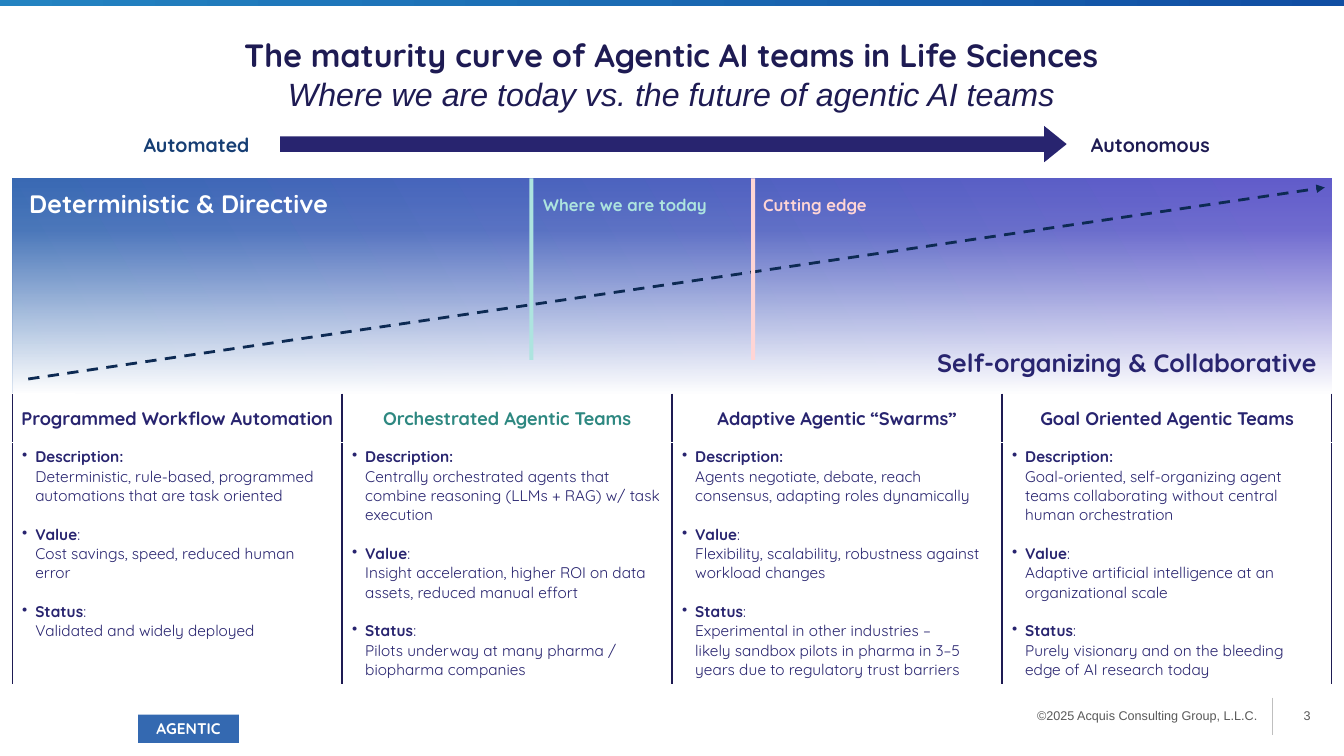
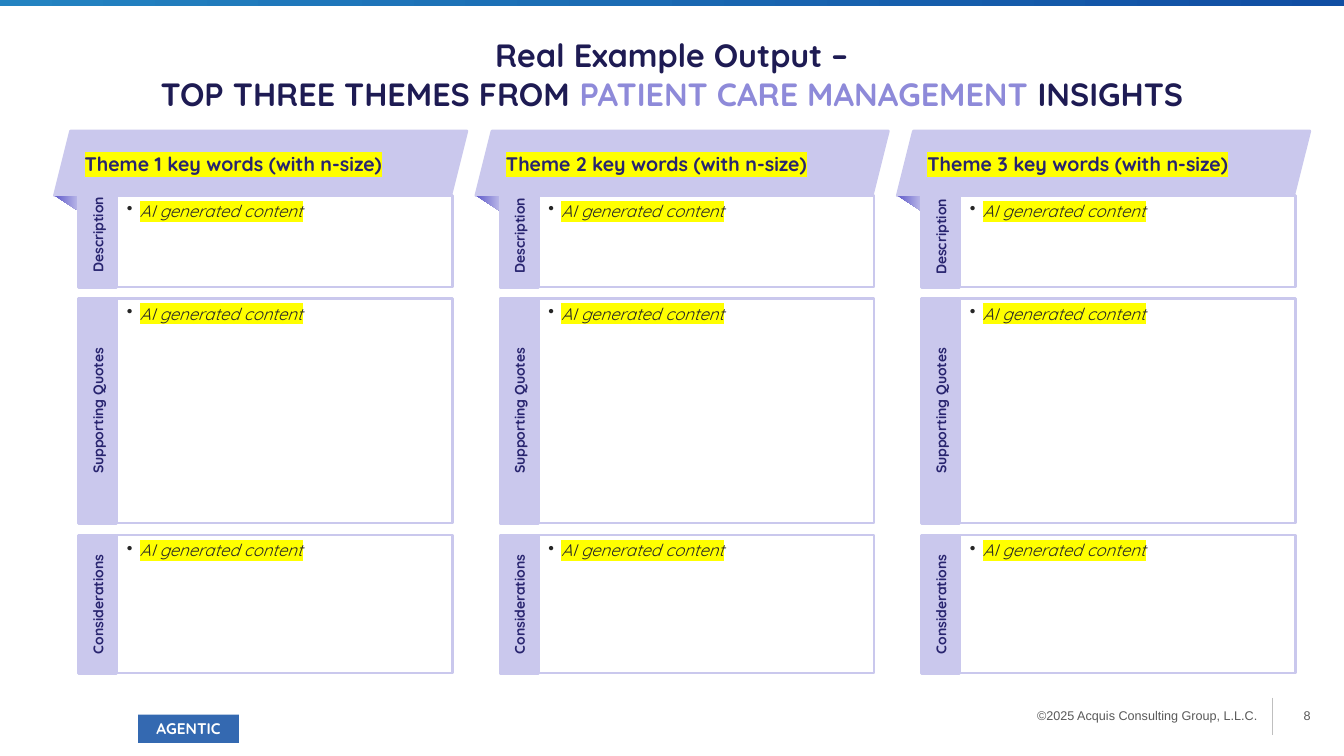
from copy import deepcopy

from lxml.etree import SubElement
from pptx import Presentation
from pptx.dml.color import RGBColor
from pptx.enum.dml import MSO_LINE
from pptx.enum.shapes import MSO_CONNECTOR, MSO_SHAPE
from pptx.enum.text import MSO_ANCHOR, MSO_AUTO_SIZE, PP_ALIGN
from pptx.oxml import parse_xml
from pptx.oxml.ns import nsdecls, qn
from pptx.util import Inches, Pt

WHITE = RGBColor(0xFF, 0xFF, 0xFF)
NAVY = RGBColor(0x1E, 0x1B, 0x53)
INDIGO = RGBColor(0x28, 0x24, 0x6F)
VIOLET = RGBColor(0x60, 0x5B, 0xCA)
LILAC = RGBColor(0x8E, 0x8A, 0xD9)
LAVENDER = RGBColor(0xCA, 0xC8, 0xED)
BLUE = RGBColor(0x34, 0x69, 0xB1)
DARK_BLUE = RGBColor(0x16, 0x3E, 0x74)
CURVE_BLUE = RGBColor(0x0D, 0x2A, 0x53)
BAND_START = RGBColor(0x23, 0x83, 0xC1)
BAND_END = RGBColor(0x10, 0x4E, 0xA3)
TEAL = RGBColor(0x2E, 0x88, 0x81)
MINT = RGBColor(0xAD, 0xE4, 0xDF)
PINK = RGBColor(0xFF, 0xD5, 0xD5)
GRAY = RGBColor(0x59, 0x59, 0x59)
RULE_GRAY = RGBColor(0xBF, 0xBF, 0xBF)
CHARCOAL = RGBColor(0x26, 0x26, 0x26)
YELLOW = RGBColor(0xFF, 0xFF, 0x00)

STAGES = [
    ("Programmed Workflow Automation", INDIGO,
     "Deterministic, rule-based, programmed automations that are task oriented",
     "Cost savings, speed, reduced human error",
     "Validated and widely deployed"),
    ("Orchestrated Agentic Teams", TEAL,
     "Centrally orchestrated agents that combine reasoning (LLMs + RAG) w/ task execution",
     "Insight acceleration, higher ROI on data assets, reduced manual effort",
     "Pilots underway at many pharma / biopharma companies"),
    ("Adaptive Agentic “Swarms”", INDIGO,
     "Agents negotiate, debate, reach consensus, adapting roles dynamically",
     "Flexibility, scalability, robustness against workload changes",
     "Experimental in other industries –\n"
     "likely sandbox pilots in pharma in 3–5 years due to regulatory trust barriers"),
    ("Goal Oriented Agentic Teams", INDIGO,
     "Goal-oriented, self-organizing agent teams collaborating without central human orchestration",
     "Adaptive artificial intelligence at an organizational scale",
     "Purely visionary and on the bleeding edge of AI research today"),
]
HEADINGS = [("Description:", ""), ("Value", ":"), ("Status", ":")]
PANELS = [("Description", 1.94, 0.91), ("Supporting Quotes", 2.96, 2.23), ("Considerations", 5.31, 1.37)]


def write(para, text, size=11, color=INDIGO, bold=False, italic=False, font="Quicksand", highlight=None):
    """Add text to a paragraph in one format, with a line break at each newline."""
    for number, line in enumerate(text.split("\n")):
        if number:
            para.add_line_break()
        line_break = para._p[-1] if number else None
        span = para.add_run()
        span.text = line
        span.font.name = font
        span.font.size = Pt(size)
        span.font.bold = bold
        span.font.italic = italic
        span.font.color.rgb = color
        properties = span._r.find(qn("a:rPr"))
        if highlight:
            mark = parse_xml(f'<a:highlight {nsdecls("a")}><a:srgbClr val="{highlight}"/></a:highlight>')
            properties.find(qn("a:latin")).addprevious(mark)
        if line_break is not None:
            line_break.append(deepcopy(properties))


def add_bullet(para, color):
    """Give a paragraph a hanging round bullet."""
    properties = para._p.get_or_add_pPr()
    properties.set("marL", str(Inches(0.13)))
    properties.set("indent", str(-Inches(0.13)))
    SubElement(SubElement(properties, qn("a:buClr")), qn("a:srgbClr"), val=str(color))
    SubElement(properties, qn("a:buChar"), char="•")


def set_gradient(shape, angle, *stops):
    """Fill a shape with a linear gradient of position, colour and opacity stops."""
    shape.fill.background()
    marks = "".join(
        f'<a:gs pos="{position * 1000}"><a:srgbClr val="{color}"><a:alpha val="{opacity * 1000}"/></a:srgbClr></a:gs>'
        for position, color, opacity in stops)
    fill = parse_xml(f'<a:gradFill {nsdecls("a")} rotWithShape="1"><a:gsLst>{marks}</a:gsLst>'
                     f'<a:lin ang="{angle * 60000}" scaled="0"/></a:gradFill>')
    properties = shape._element.spPr
    properties.replace(properties.find(qn("a:noFill")), fill)


class SlideBuilder:
    """Holds the deck style and the slide being drawn."""

    def __init__(self):
        """Start an empty wide deck."""
        self.deck = Presentation()
        self.deck.slide_width = Inches(13.33)
        self.deck.slide_height = Inches(7.5)
        self.page = None

    def start(self, number, *title_lines):
        """Open a slide with its title, top band and footer."""
        self.page = self.deck.slides.add_slide(self.deck.slide_layouts[5])
        self.title(title_lines)
        band = self.shape(0, 0, 13.33, 0.06)
        set_gradient(band, 0, (0, BAND_START, 100), (100, BAND_END, 100))
        for left, width, text in ((12.77, 0.23, str(number)),
                                  (9.69, 2.78, "©2025 Acquis Consulting Group, L.L.C.")):
            self.text(left, 6.79, width, 0.62, text, PP_ALIGN.RIGHT, MSO_ANCHOR.MIDDLE, (0, 0),
                      size=9, color=GRAY, font="Arial")
        self.line((12.62, 6.92), (12.62, 7.29), RULE_GRAY, 0.75)
        tag = self.shape(1.37, 7.09, 1, 0.28, BLUE)
        self.fill_text(tag, "AGENTIC", PP_ALIGN.CENTER, MSO_ANCHOR.MIDDLE, (0, 0), color=WHITE, bold=True)

    def title(self, lines):
        """Place the title and write its lines, each a list of text and format pairs."""
        title = self.page.shapes.title
        title.left, title.top, title.width, title.height = map(Inches, (0, 0.3, 13.33, 0.88))
        frame = self.frame(title, MSO_ANCHOR.TOP)
        for number, spans in enumerate(lines):
            para = frame.add_paragraph() if number else frame.paragraphs[0]
            para.alignment = PP_ALIGN.CENTER
            for text, changes in spans:
                write(para, text, **{"size": 23, "color": NAVY, "bold": True, **changes})

    def frame(self, shape, anchor, inset=(0.1, 0.05)):
        """Set wrapping, anchor and insets of a text frame."""
        frame = shape.text_frame
        frame.word_wrap = True
        frame.auto_size = MSO_AUTO_SIZE.NONE
        frame.vertical_anchor = anchor
        frame.margin_left = frame.margin_right = Inches(inset[0])
        frame.margin_top = frame.margin_bottom = Inches(inset[1])
        return frame

    def fill_text(self, shape, text, align, anchor, inset=(0.1, 0.05), **style):
        """Write one paragraph into a shape."""
        para = self.frame(shape, anchor, inset).paragraphs[0]
        para.alignment = align
        write(para, text, **style)
        return para

    def text(self, left, top, width, height, text, align=PP_ALIGN.LEFT, anchor=MSO_ANCHOR.TOP,
             inset=(0.1, 0.05), **style):
        """Add a text box."""
        box = self.page.shapes.add_textbox(Inches(left), Inches(top), Inches(width), Inches(height))
        self.fill_text(box, text, align, anchor, inset, **style)

    def shape(self, left, top, width, height, fill=WHITE, kind=MSO_SHAPE.RECTANGLE,
              line=None, line_width=2, adjustments=()):
        """Add a flat preset shape."""
        shape = self.page.shapes.add_shape(kind, Inches(left), Inches(top), Inches(width), Inches(height))
        shape.shadow.inherit = False
        shape.fill.solid()
        shape.fill.fore_color.rgb = fill
        for index, value in enumerate(adjustments):
            shape.adjustments[index] = value
        if line:
            shape.line.color.rgb = line
            shape.line.width = Pt(line_width)
        else:
            shape.line.fill.background()
        return shape

    def line(self, start, end, color, width, dashed_arrow=False):
        """Add a straight line, or a dashed arrow."""
        line = self.page.shapes.add_connector(MSO_CONNECTOR.STRAIGHT, *map(Inches, start + end))
        line.line.color.rgb = color
        line.line.width = Pt(width)
        properties = line._element.spPr
        if dashed_arrow:
            line.line.dash_style = MSO_LINE.DASH
            SubElement(properties.find(qn("a:ln")), qn("a:tailEnd"), type="triangle")
        SubElement(properties, qn("a:effectLst"))

    def fold(self, left, top):
        """Add the shaded fold under a ribbon."""
        outline = self.page.shapes.build_freeform(Inches(left), Inches(top))
        outline.add_line_segments([(Inches(left + 0.25), Inches(top + 0.16)), (Inches(left + 0.28), Inches(top))])
        fold = outline.convert_to_shape()
        fold.shadow.inherit = False
        fold.line.fill.background()
        set_gradient(fold, 0, (0, VIOLET, 100), (100, LAVENDER, 100))

    def cell(self, cell, anchor, inset):
        """Format a table cell with side borders and return its first paragraph."""
        cell.fill.solid()
        cell.fill.fore_color.rgb = WHITE
        cell.vertical_anchor = anchor
        cell.margin_left = cell.margin_right = Inches(inset[0])
        cell.margin_top = cell.margin_bottom = Inches(inset[1])
        for index, side in enumerate(("lnL", "lnR")):
            border = parse_xml(f'<a:{side} {nsdecls("a")} w="{Pt(1)}"><a:solidFill><a:srgbClr val="{NAVY}"/>'
                               f'</a:solidFill><a:prstDash val="solid"/></a:{side}>')
            cell._tc.get_or_add_tcPr().insert(index, border)
        return cell.text_frame.paragraphs[0]

    def stage_table(self, left, top, width):
        """Add the table that describes each stage."""
        table = self.page.shapes.add_table(2, len(STAGES), Inches(left), Inches(top),
                                           Inches(width), Inches(2.78)).table
        table.first_row = table.horz_banding = False
        table.rows[0].height = Inches(0.48)
        table.rows[1].height = Inches(2.3)
        for column, (name, color, *details) in enumerate(STAGES):
            para = self.cell(table.cell(0, column), MSO_ANCHOR.MIDDLE, (0, 0))
            para.alignment = PP_ALIGN.CENTER
            write(para, name, size=13, color=color, bold=True)
            body = table.cell(1, column)
            para = self.cell(body, MSO_ANCHOR.TOP, (0.1, 0.05))
            for number, ((heading, colon), detail) in enumerate(zip(HEADINGS, details)):
                if number:
                    para = body.text_frame.add_paragraph()
                    para.space_before = Pt(13.75)
                add_bullet(para, INDIGO)
                write(para, heading, bold=True)
                write(para, f"{colon}\n{detail}")

    def theme(self, number, left):
        """Add one theme column: ribbon, fold and labelled panels."""
        self.shape(left, 1.3, 4.09, 0.64, LAVENDER, MSO_SHAPE.PARALLELOGRAM, LAVENDER, adjustments=(0.25,))
        self.fold(left, 1.94)
        self.text(left + 0.2, 1.46, 3.74, 0.34, f"Theme {number} key words (with n-size)",
                  size=14, bold=True, highlight=YELLOW)
        for name, top, height in PANELS:
            length = 1.06 - 0.02 * number if name == "Description" else height
            middle = top + height - length / 2
            tag = self.shape(left + 0.43 - length / 2, middle - 0.19, length, 0.38, LAVENDER, line=LAVENDER)
            tag.rotation = 270
            self.fill_text(tag, name, PP_ALIGN.CENTER, MSO_ANCHOR.MIDDLE, size=10, bold=True)
            panel = self.shape(left + 0.62, top, 3.33, height, line=LAVENDER, line_width=1.75)
            para = self.fill_text(panel, "AI generated content", PP_ALIGN.LEFT, MSO_ANCHOR.TOP,
                                  size=12, color=CHARCOAL, italic=True, highlight=YELLOW)
            add_bullet(para, CHARCOAL)


def draw_maturity_curve(builder):
    """Draw the slide on the maturity curve."""
    builder.start(3, [("The maturity curve of Agentic AI teams in Life Sciences", {})],
                  [("Where we are today vs. the future of agentic AI teams",
                    {"font": "Arial", "bold": False, "italic": True})])
    for left, text, color in ((0.68, "Automated", DARK_BLUE), (10.14, "Autonomous", NAVY)):
        builder.text(left, 1.27, 2.54, 0.34, text, PP_ALIGN.CENTER, MSO_ANCHOR.MIDDLE, (0, 0.05),
                     size=14, color=color, bold=True)
    builder.shape(2.78, 1.25, 7.8, 0.36, INDIGO, MSO_SHAPE.RIGHT_ARROW, adjustments=(0.43, 0.62))
    for angle, stops in ((330, [(0, BLUE, 100), (96, VIOLET, 100), (100, VIOLET, 100)]),
                         (270, [(0, WHITE, 100), (76, WHITE, 10), (100, WHITE, 0)])):
        set_gradient(builder.shape(0.12, 1.77, 13.09, 2.13), angle, *stops)
    builder.line((0.28, 3.76), (13.14, 1.86), CURVE_BLUE, 2, dashed_arrow=True)
    builder.text(0.29, 1.82, 3.57, 0.4, "Deterministic & Directive", inset=(0, 0.05),
                 size=18, color=WHITE, bold=True)
    builder.text(8.61, 3.39, 4.45, 0.4, "Self-organizing & Collaborative", PP_ALIGN.RIGHT,
                 MSO_ANCHOR.BOTTOM, (0, 0.05), size=18, bold=True)
    builder.stage_table(0.12, 3.91, 13.09)
    for marker, left, width, text, align, color in (
            (5.25, 5.15, 2.1, "Where we are today", PP_ALIGN.CENTER, MINT),
            (7.45, 7.47, 1.45, "Cutting edge", PP_ALIGN.LEFT, PINK)):
        builder.shape(marker, 1.77, 0.04, 1.8, color)
        builder.text(left, 1.88, width, 0.3, text, align, size=12, color=color, bold=True)


def draw_themes(builder):
    """Draw the slide on the top three themes."""
    builder.start(8, [("Real Example Output –", {})],
                  [("TOP THREE THEMES FROM ", {}), ("PATIENT CARE MANAGEMENT ", {"color": LILAC}),
                   ("INSIGHTS", {})])
    for column in range(3):
        builder.theme(column + 1, 0.54 + 4.18 * column)


def main():
    """Build and save the deck."""
    builder = SlideBuilder()
    draw_maturity_curve(builder)
    draw_themes(builder)
    builder.deck.save("out.pptx")


if __name__ == "__main__":
    main()
